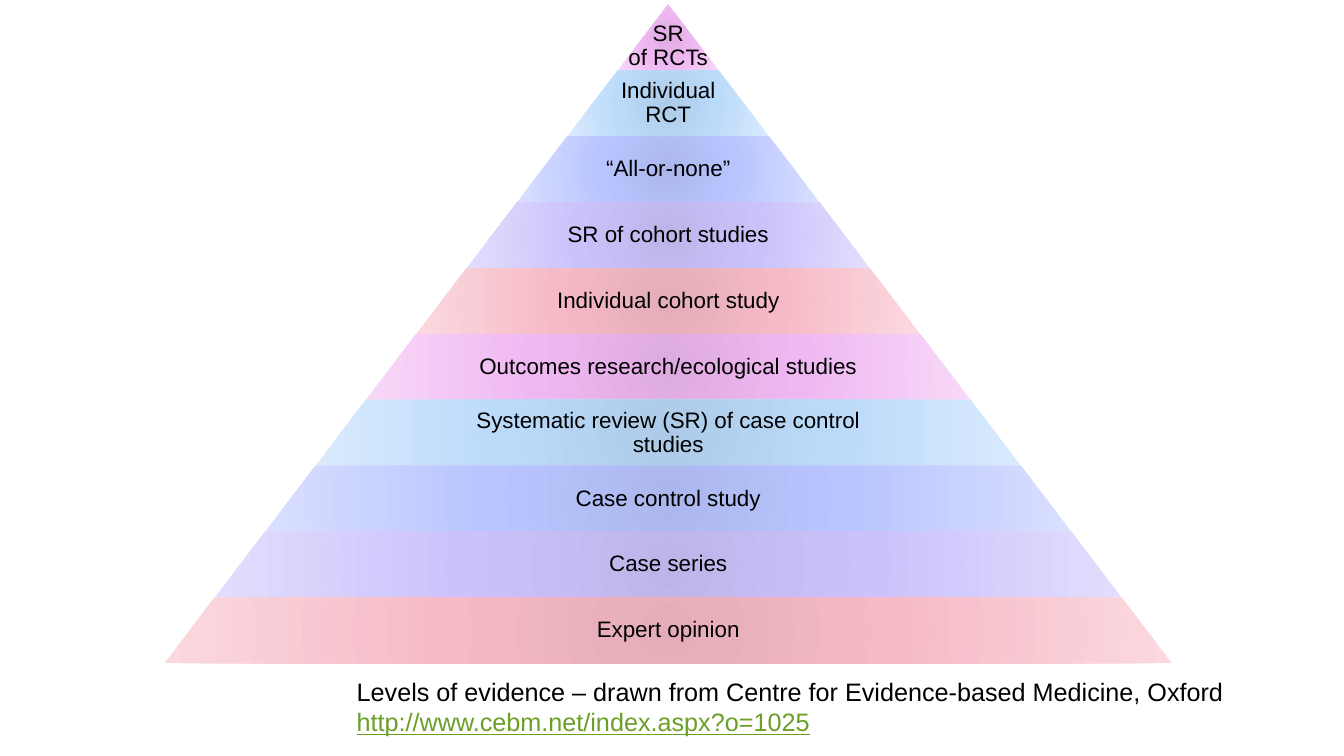
"""Build the levels-of-evidence pyramid slide."""
import pptx
import pptx.dml.color
import pptx.enum.shapes
import pptx.enum.text
import pptx.oxml
import pptx.oxml.ns
import pptx.util
from pptx.util import Cm, Pt

BLACK = pptx.dml.color.RGBColor(0x00, 0x00, 0x00)
LINK_GREEN = pptx.dml.color.RGBColor(0x6B, 0x9F, 0x25)
PINK = ("DEABE0", "F0B8F2", "F7D8F8")
SKY = ("ADCBE8", "BADAFA", "D9EAFD")
PERIWINKLE = ("ABB7ED", "B9C5FF", "D9DFFF")
LAVENDER = ("BDB5E9", "CBC2FB", "E2DDFD")
ROSE = ("E4ADB8", "F6BAC6", "FBD9DF")
BAND_GRADIENTS = (PINK, SKY, PERIWINKLE, LAVENDER, ROSE)

EVIDENCE_LEVELS = (
    "SR\nof RCTs",
    "Individual RCT",
    "“All-or-none”",
    "SR of cohort studies",
    "Individual cohort study",
    "Outcomes research/ecological studies",
    "Systematic review (SR) of case control studies",
    "Case control study",
    "Case series",
    "Expert opinion",
)
APEX_X, APEX_Y = 16.84, 0.12
BAND_HEIGHT, WIDTH_STEP = 1.66, 2.54
LABEL_SHARE = 0.65
LABEL_INSET = Cm(0.05)


def add_run(paragraph, text, size, color):
    run = paragraph.add_run()
    run.text = text
    run.font.name = "Arial"
    run.font.size = Pt(size)
    run.font.color.rgb = color
    return run


def fill_radial(band, colors):
    band.fill.gradient()
    default_fill = band._element.spPr.find(pptx.oxml.ns.qn("a:gradFill"))
    stops = "".join(
        f'<a:gs pos="{position}"><a:srgbClr val="{color}"/></a:gs>'
        for position, color in zip((0, 45000, 100000), colors)
    )
    radial_fill = pptx.oxml.parse_xml(
        f'<a:gradFill {pptx.oxml.ns.nsdecls("a")} rotWithShape="1">'
        f'<a:gsLst>{stops}</a:gsLst><a:path path="circle">'
        '<a:fillToRect l="100000" t="100000" r="100000" b="100000"/>'
        "</a:path></a:gradFill>"
    )
    default_fill.getparent().replace(default_fill, radial_fill)


deck = pptx.Presentation()
deck.slide_width, deck.slide_height = Cm(33.87), Cm(19.05)
slide = deck.slides.add_slide(deck.slide_layouts[6])

for level, wording in enumerate(EVIDENCE_LEVELS):
    is_apex = level == 0
    top = APEX_Y + level * BAND_HEIGHT
    width = (level + 1) * WIDTH_STEP
    band = slide.shapes.add_shape(
        pptx.enum.shapes.MSO_SHAPE.TRAPEZOID,
        Cm(APEX_X - width / 2), Cm(top), Cm(width), Cm(BAND_HEIGHT),
    )
    band.adjustments[0] = WIDTH_STEP / 2 / BAND_HEIGHT
    band.shadow.inherit = False
    band.line.fill.background()
    fill_radial(band, BAND_GRADIENTS[level % len(BAND_GRADIENTS)])

    label_width = width if is_apex else width * LABEL_SHARE
    label = slide.shapes.add_textbox(
        Cm(APEX_X - label_width / 2), Cm(top), Cm(label_width), Cm(BAND_HEIGHT)
    ).text_frame
    label.word_wrap = True
    label.margin_left = label.margin_right = label.margin_top = LABEL_INSET
    label.margin_bottom = 0 if is_apex else LABEL_INSET
    anchors = pptx.enum.text.MSO_ANCHOR
    label.vertical_anchor = anchors.BOTTOM if is_apex else anchors.MIDDLE
    paragraph = label.paragraphs[0]
    paragraph.alignment = pptx.enum.text.PP_ALIGN.CENTER
    paragraph.line_spacing = 0.9
    for line_number, line in enumerate(wording.split("\n")):
        if line_number:
            paragraph.add_line_break()
        add_run(paragraph, line, 16, BLACK)

credit = slide.shapes.add_textbox(Cm(8.74), Cm(16.92), Cm(22.56), Cm(1.8)).text_frame
credit.word_wrap = False
credit_paragraph = credit.paragraphs[0]
add_run(
    credit_paragraph,
    "Levels of evidence – drawn from Centre for Evidence-based Medicine, Oxford",
    18, BLACK,
)
credit_paragraph.add_line_break()
address = add_run(credit_paragraph, "http://www.cebm.net/index.aspx?o=1025", 18, LINK_GREEN)
address.font.underline = True

deck.save("out.pptx")
